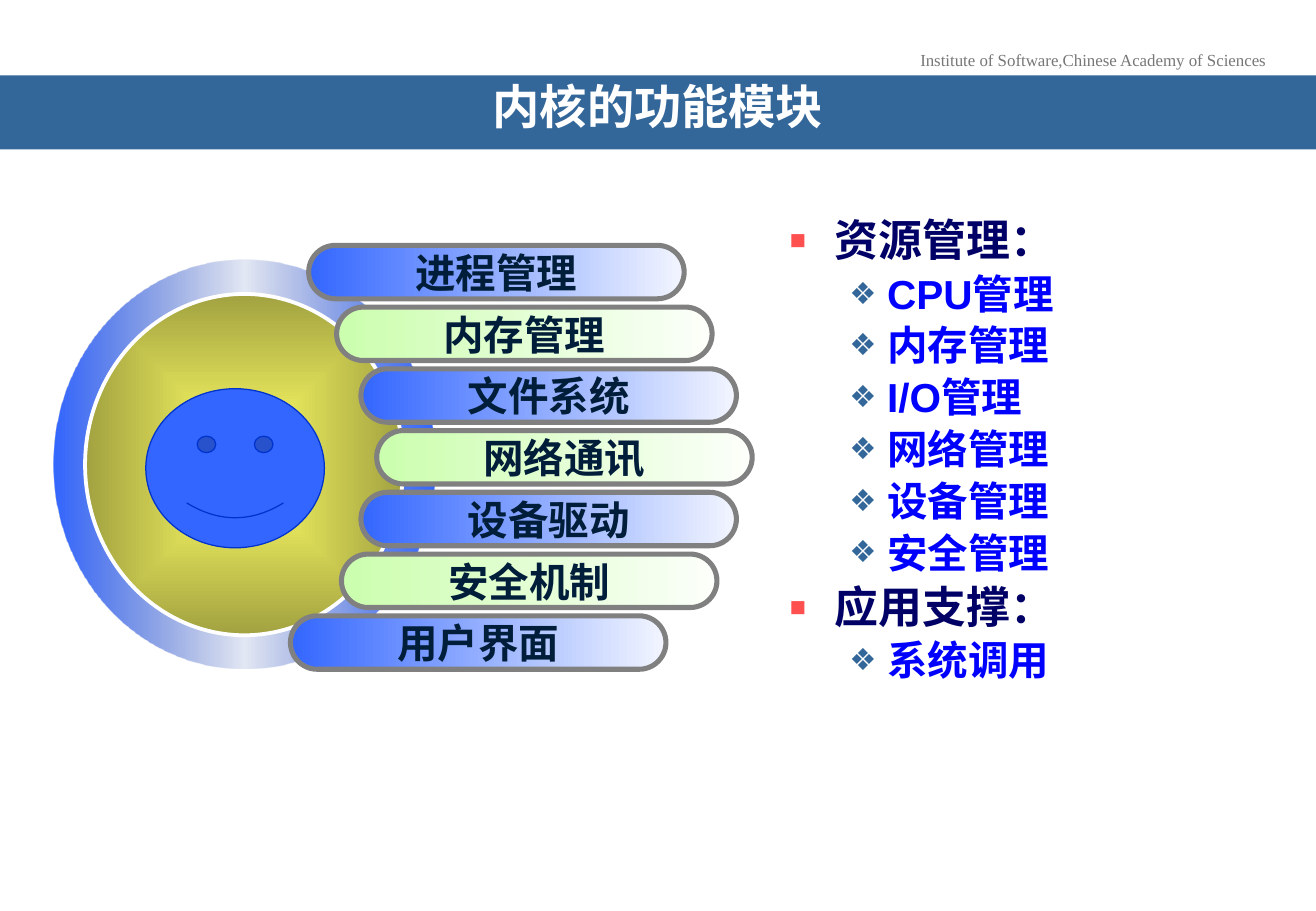
"""Build the slide on the function modules of the kernel."""
from pptx import Presentation
from pptx.dml.color import RGBColor
from pptx.enum.shapes import MSO_SHAPE
from pptx.enum.text import MSO_ANCHOR, MSO_AUTO_SIZE, PP_ALIGN
from pptx.oxml import parse_xml
from pptx.oxml.ns import nsdecls
from pptx.util import Inches, Pt

CENTER = PP_ALIGN.CENTER
MIDDLE, TOP = MSO_ANCHOR.MIDDLE, MSO_ANCHOR.TOP
FIXED = MSO_AUTO_SIZE.NONE
DONUT, OVAL = MSO_SHAPE.DONUT, MSO_SHAPE.OVAL
PILL, SMILEY = MSO_SHAPE.ROUNDED_RECTANGLE, MSO_SHAPE.SMILEY_FACE

WHITE = RGBColor(0xFF, 0xFF, 0xFF)
GRAY = RGBColor(0x80, 0x80, 0x80)
SILVER = RGBColor(0x77, 0x77, 0x77)
STEEL = RGBColor(0x33, 0x66, 0x99)
CORAL = RGBColor(0xFF, 0x50, 0x50)
NAVY = RGBColor(0x00, 0x00, 0x66)
PURE = RGBColor(0x00, 0x00, 0xFF)
INK = RGBColor(0x00, 0x1D, 0x3A)
BLUE = RGBColor(0x33, 0x66, 0xFF)
DEEP = RGBColor(0x22, 0x44, 0xAA)
EDGE = RGBColor(0x00, 0x33, 0xCC)
PALE = RGBColor(0xF3, 0xF6, 0xFF)
LIME = RGBColor(0xCB, 0xFE, 0xAE)
MIST = RGBColor(0xFC, 0xFF, 0xFA)
LEMON = RGBColor(0xFF, 0xFF, 0x66)
OLIVE = RGBColor(0xA2, 0xA2, 0x41)

LINEAR = '<a:lin ang="0" scaled="1"/>'
RADIAL = '<a:path path="shape"><a:fillToRect l="50000" t="50000" r="50000" b="50000"/></a:path>'


def add_form(kind, box, stops, shade=LINEAR):
    """Add a shape filled with a gradient of (percent, colour, opacity) stops."""
    form = slide.shapes.add_shape(kind, *map(Inches, box))
    form.shadow.inherit = False
    marks = "".join(
        f'<a:gs pos="{place * 1000}"><a:srgbClr val="{color}">'
        f'<a:alpha val="{alpha * 1000}"/></a:srgbClr></a:gs>'
        for place, color, alpha in stops)
    form.fill.background()
    blank = form.element.spPr.find("./{*}noFill")
    blank.getparent().replace(blank, parse_xml(
        f'<a:gradFill {nsdecls("a")} rotWithShape="1"><a:gsLst>{marks}</a:gsLst>{shade}</a:gradFill>'))
    return form


def set_font(para, name, size, color, bold=True):
    """Set the font of a whole paragraph."""
    font = para.font
    font.name, font.size, font.bold = name, Pt(size), bold
    font.color.rgb = color


deck = Presentation()
deck.slide_width, deck.slide_height = Inches(10.83), Inches(7.5)
slide = deck.slides.add_slide(deck.slide_layouts[1])

title = slide.shapes.title
title.left, title.top, title.width, title.height = map(Inches, (0, 0.62, 10.83, 0.61))
title.fill.solid()
title.fill.fore_color.rgb = STEEL
frame = title.text_frame
frame.text = "内核的功能模块"
frame.auto_size = FIXED
frame.vertical_anchor = MIDDLE
frame.margin_left = frame.margin_right = Inches(0.31)
para = frame.paragraphs[0]
para.alignment = CENTER
para.line_spacing = 0.7
set_font(para, "Arial Narrow", 28, WHITE)

body = slide.placeholders[1]
body.left, body.top, body.width, body.height = map(Inches, (6.39, 1.75, 3.69, 4.95))
frame = body.text_frame
frame.auto_size = FIXED
frame.vertical_anchor = TOP
items = [
    (0, "资源管理："), (1, "CPU管理"), (1, "内存管理"), (1, "I/O管理"), (1, "网络管理"),
    (1, "设备管理"), (1, "安全管理"), (0, "应用支撑："), (1, "系统调用"),
]
levels = [
    (0.38, -0.38, "▪", CORAL, 120, 26, NAVY),
    (0.81, -0.31, "❖", STEEL, 75, 24, PURE),
]
frame.text = "\n".join(text for level, text in items)
for para, (level, text) in zip(frame.paragraphs, items):
    margin, indent, sign, tint, scale, size, color = levels[level]
    para.level = level
    para.line_spacing = 0.9
    props = para._p.get_or_add_pPr()
    props.set("marL", str(Inches(margin)))
    props.set("indent", str(Inches(indent)))
    for tag in (
        f'<a:buClr {nsdecls("a")}><a:srgbClr val="{tint}"/></a:buClr>',
        f'<a:buSzPct {nsdecls("a")} val="{scale * 1000}"/>',
        f'<a:buFont {nsdecls("a")} typeface="Arial"/>',
        f'<a:buChar {nsdecls("a")} char="{sign}"/>',
    ):
        props.append(parse_xml(tag))
    set_font(para, "Arial", size, color)

header = slide.shapes.add_textbox(*map(Inches, (7.46, 0.36, 3.07, 0.27)))
header.text_frame.word_wrap = False
para = header.text_frame.paragraphs[0]
para.text = "Institute of Software,Chinese Academy of Sciences"
para.alignment = CENTER
set_font(para, "Times New Roman", 10, SILVER, False)

ring = add_form(DONUT, (0.44, 2.14, 3.14, 3.36),
                [(0, BLUE, 100), (50, DEEP, 12), (100, BLUE, 100)])
ring.adjustments[0] = 0.09
ring.line.fill.background()

disc = add_form(OVAL, (0.7, 2.42, 2.62, 2.81), [(0, LEMON, 100), (100, OLIVE, 100)], RADIAL)
disc.line.color.rgb = WHITE
disc.line.width = Pt(2.25)

modules = [
    (2.54, "进程管理"), (2.77, "内存管理"), (2.97, "文件系统"), (3.1, "网络通讯"),
    (2.97, "设备驱动"), (2.81, "安全机制"), (2.39, "用户界面"),
]
styles = [(BLUE, PALE, "Arial"), (LIME, MIST, "Times New Roman")]
for row, (left, text) in enumerate(modules):
    start, end, face = styles[row % 2]
    top = 2.02 + 3.05 * row / 6
    pill = add_form(PILL, (left, top, 3.09, 0.44), [(0, start, 100), (100, end, 100)])
    pill.adjustments[0] = 0.5
    pill.line.color.rgb = GRAY
    pill.line.width = Pt(3)
    frame = pill.text_frame
    frame.word_wrap = False
    frame.vertical_anchor = MIDDLE
    para = frame.paragraphs[0]
    para.text = text
    para.alignment = CENTER
    set_font(para, face, 24, INK)

smile = slide.shapes.add_shape(SMILEY, *map(Inches, (1.2, 3.2, 1.47, 1.31)))
smile.shadow.inherit = False
smile.fill.solid()
smile.fill.fore_color.rgb = BLUE
smile.line.color.rgb = EDGE
smile.line.width = Pt(0.75)

deck.save("out.pptx")
